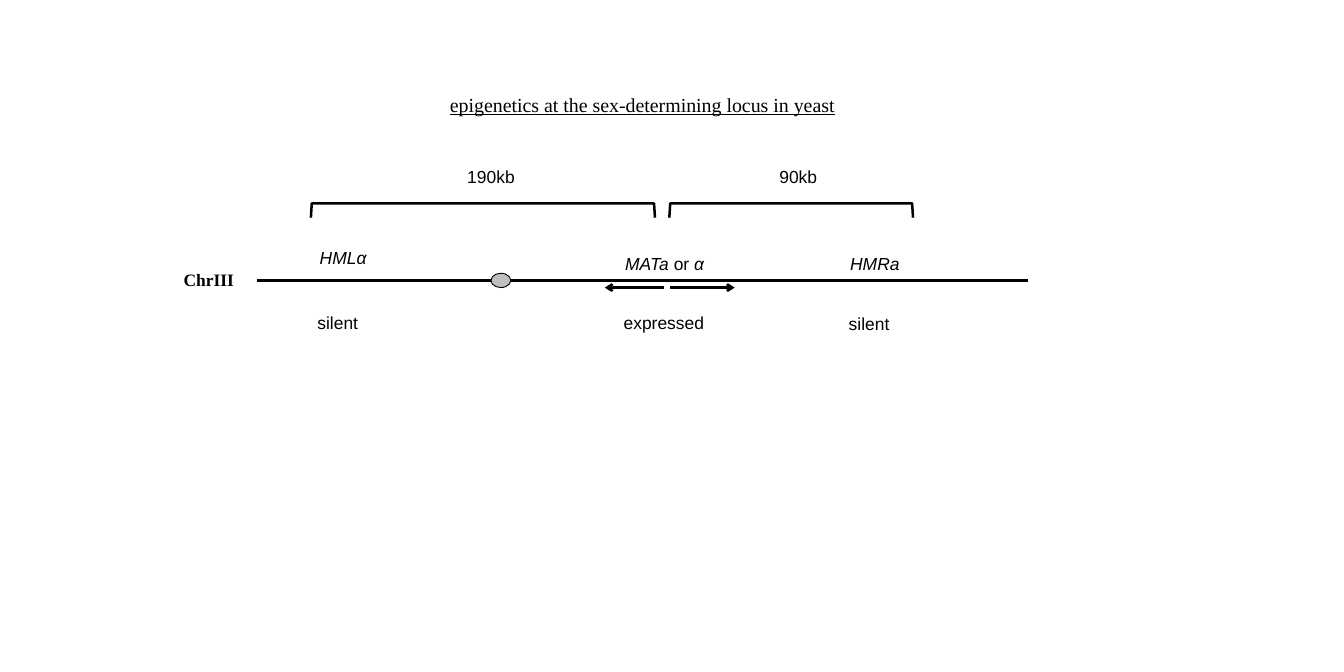
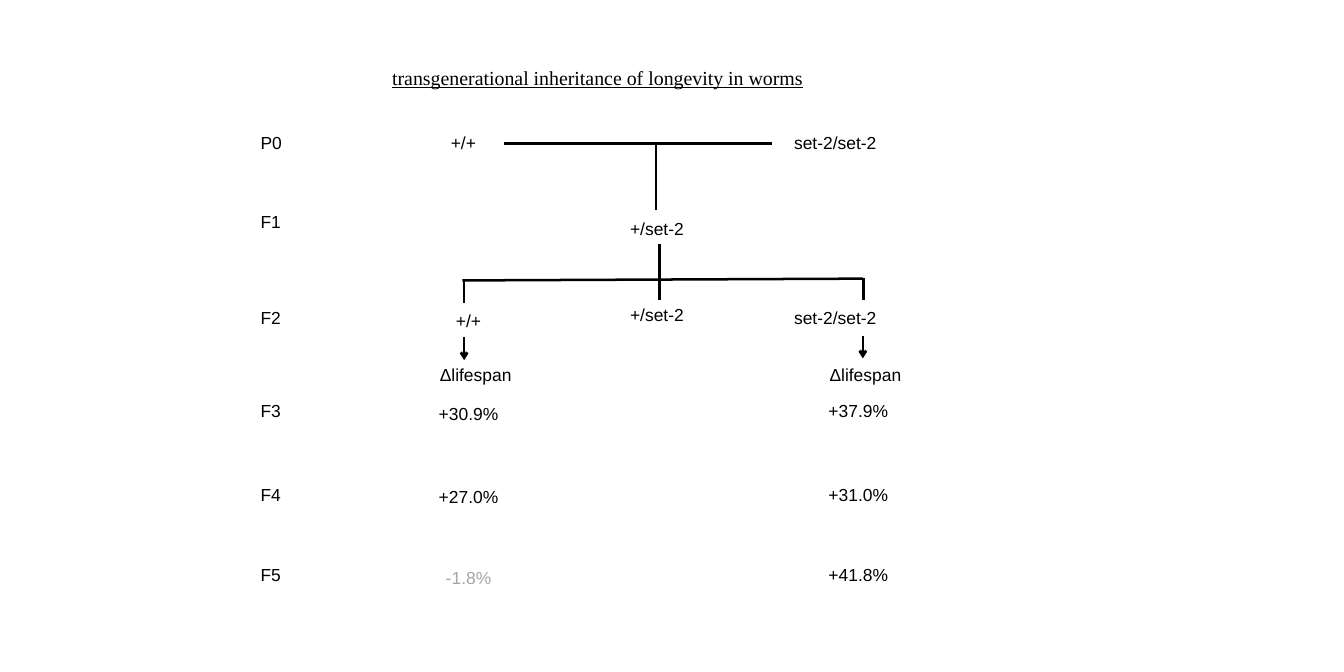
from dataclasses import dataclass

from lxml import etree
from pptx import Presentation
from pptx import util as u
from pptx.dml.color import RGBColor
from pptx.enum import shapes, text
from pptx.oxml.ns import qn

PX = u.Inches(1) // 100  # 100 px to the inch
COLORS = {"ink": "000000", "centromere": "BFBFBF", "faded": "A6A6A6"}
SANS, SERIF = "Arial", "Times New Roman"
LABEL_HEIGHT = 34
LINE_WIDTH = u.Pt(2)


@dataclass(frozen=True)
class Label:
    text: str
    left: int
    top: int
    width: int = 214
    height: int = LABEL_HEIGHT
    centered: bool = True
    font: str = SANS
    size: int = 14
    color: str = "ink"
    bold: bool = False
    italic: bool = False
    underline: bool = False


@dataclass(frozen=True)
class Stroke:
    x1: int
    y1: int
    x2: int
    y2: int
    arrow: bool = False


def rgb(name: str) -> RGBColor:
    return RGBColor.from_string(COLORS[name])


def style_run(run, label: Label, italic: bool) -> None:
    font = run.font
    font.name, font.size = label.font, u.Pt(label.size)
    font.bold, font.italic, font.underline = label.bold, italic, label.underline
    font.color.rgb = rgb(label.color)


def draw_label(slide, label: Label):
    box = slide.shapes.add_textbox(label.left * PX, label.top * PX,
                                   label.width * PX, label.height * PX)
    frame = box.text_frame
    frame.word_wrap = True
    frame.auto_size = text.MSO_AUTO_SIZE.SHAPE_TO_FIT_TEXT
    frame.text = label.text
    paragraph = frame.paragraphs[0]
    paragraph.alignment = text.PP_ALIGN.CENTER if label.centered else text.PP_ALIGN.LEFT
    style_run(paragraph.runs[0], label, label.italic)
    return box


def draw_title(slide, title: str, left: int, top: int) -> None:
    draw_label(slide, Label(title, left, top, 594, 64, font=SERIF, size=16, underline=True))


def draw_stroke(slide, stroke: Stroke):
    connector = slide.shapes.add_connector(
        shapes.MSO_CONNECTOR.STRAIGHT,
        stroke.x1 * PX, stroke.y1 * PX, stroke.x2 * PX, stroke.y2 * PX)
    connector.line.width = LINE_WIDTH
    connector.line.color.rgb = rgb("ink")
    properties = connector._element.spPr
    if stroke.arrow:
        etree.SubElement(properties.find(qn("a:ln")), qn("a:tailEnd"), type="arrow")
    etree.SubElement(properties, qn("a:effectLst"))
    return connector


def draw_bracket(slide, left: int, right: int, top: int = 227, depth: int = 16) -> None:
    outline = slide.shapes.build_freeform(left, top + depth, scale=PX)
    outline.add_line_segments(
        [(left + 1, top), (right - 1, top), (right, top + depth)], close=False)
    bracket = outline.convert_to_shape()
    bracket.shadow.inherit = False
    bracket.fill.background()
    bracket.line.width = LINE_WIDTH
    bracket.line.color.rgb = rgb("ink")


def build_yeast_slide(slide) -> None:
    # Chromosome with its centromere and the two directions of copying
    draw_stroke(slide, Stroke(287, 313, 1147, 313))
    centromere = slide.shapes.add_shape(shapes.MSO_SHAPE.OVAL,
                                        548 * PX, 305 * PX, 22 * PX, 16 * PX)
    centromere.shadow.inherit = False
    centromere.fill.solid()
    centromere.fill.fore_color.rgb = rgb("centromere")
    centromere.line.color.rgb = rgb("ink")
    centromere.line.width = u.Pt(0.75)
    for start, end in ((748, 820), (741, 675)):
        draw_stroke(slide, Stroke(start, 321, end, 321, arrow=True))

    # Loci
    for locus, left, top, width in (("HMLα", 347, 271, 73), ("HMRa", 939, 278, 97)):
        draw_label(slide, Label(locus, left, top, width, centered=False, italic=True))
    mat = Label("MATa ", 688, 278, 146, centered=False, italic=True)
    mat_line = draw_label(slide, mat).text_frame.paragraphs[0]
    for piece, italic in (("or", False), (" α", True)):
        run = mat_line.add_run()
        run.text = piece
        style_run(run, mat, italic)

    # Expression states
    for state, left, top in (("silent", 297, 343), ("expressed", 661, 343),
                             ("silent", 890, 344)):
        draw_label(slide, Label(state, left, top, 160))

    # Distances between loci
    for distance, left, bracket_left, bracket_right in (("190kb", 468, 347, 731),
                                                        ("90kb", 811, 747, 1019)):
        draw_bracket(slide, bracket_left, bracket_right)
        draw_label(slide, Label(distance, left, 180, 160))

    draw_title(slide, "epigenetics at the sex-determining locus in yeast", 420, 98)
    draw_label(slide, Label("ChrIII", 153, 295, 160, font=SERIF, bold=True))


def build_worm_slide(slide) -> None:
    draw_title(slide, "transgenerational inheritance of longevity in worms", 370, 68)

    # Generations
    for generation, top in (("P0", 143), ("F1", 231), ("F2", 338),
                            ("F3", 442), ("F4", 535), ("F5", 625)):
        draw_label(slide, Label(generation, 281, top, 50, centered=False))

    # Genotypes
    for genotype, left, top in (("+/+ ", 413, 143), ("set-2/set-2 ", 828, 143),
                                ("+/+", 416, 341), ("set-2/set-2 ", 828, 338)):
        draw_label(slide, Label(genotype, left, top))
    f1_hybrid, f2_hybrid = (draw_label(slide, Label("+/set-2 ", 629, top))
                            for top in (238, 335))

    # Pedigree
    for stroke in (
        Stroke(563, 160, 862, 160),
        Stroke(732, 160, 732, 234),
        Stroke(516, 313, 963, 311),
        Stroke(518, 313, 518, 338),
        Stroke(964, 310, 964, 335),
        Stroke(518, 376, 518, 402, arrow=True),
        Stroke(963, 375, 963, 400, arrow=True),
    ):
        draw_stroke(slide, stroke)
    descent = draw_stroke(slide, Stroke(736, 272, 736, 335))
    descent.begin_connect(f1_hybrid, 2)
    descent.end_connect(f2_hybrid, 0)

    # Change of lifespan in each line of descent
    for left in (468, 903):
        draw_label(slide, Label("Δlifespan", left, 402, 126))
    for top, wild_type, mutant, wild_type_color in (
        (442, "+30.9%", "+37.9%", "ink"),
        (535, "+27.0%", "+31.0%", "ink"),
        (625, "-1.8%", "+41.8%", "faded"),
    ):
        draw_label(slide, Label(wild_type, 416, top + 3, color=wild_type_color))
        draw_label(slide, Label(mutant, 851, top))


def main() -> None:
    deck = Presentation()
    deck.slide_width, deck.slide_height = 1500 * PX, 750 * PX
    blank = deck.slide_layouts[6]
    for build in (build_yeast_slide, build_worm_slide):
        build(deck.slides.add_slide(blank))
    deck.save("out.pptx")


if __name__ == "__main__":
    main()
